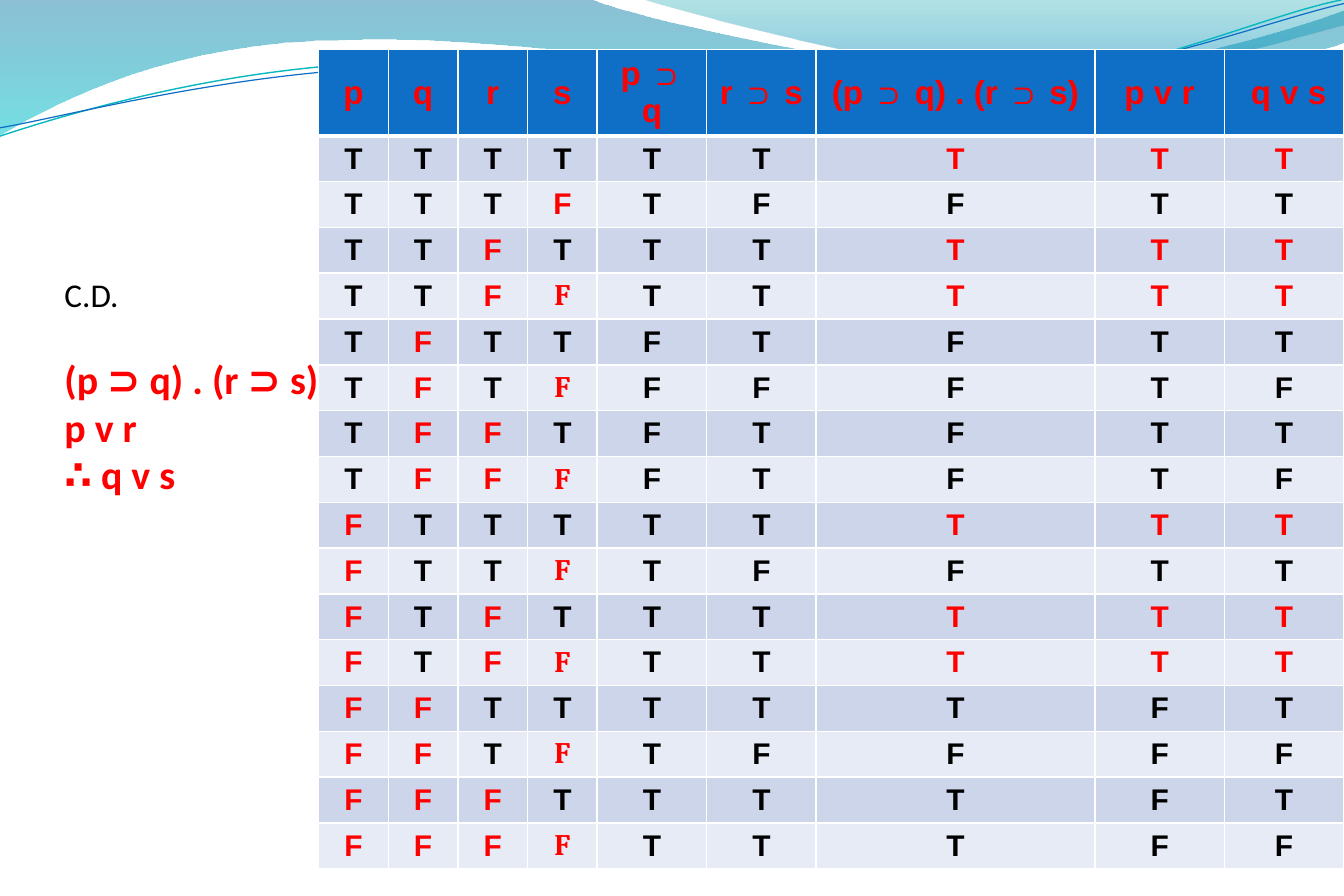
"""Build the constructive dilemma truth table slide."""
import pptx
import pptx.dml.color
import pptx.enum.text
import pptx.oxml
import pptx.oxml.ns
import pptx.util

WIDTH, HEIGHT = 11.25, 7.5
RED, BLACK, WHITE, HEADER_BLUE = "FF0000", "000000", "FFFFFF", "0F6FC6"
BANDS = ("CCD5EA", "E7EBF5")

ARGUMENT = [
    ("C.D.", {"size": 20, "bold": False, "color": BLACK}, 24),
    ("(p ⊃ q) . (r ⊃ s)", {"size": 24, "bold": True, "color": RED}, 0),
    ("p v r", {"size": 24, "bold": True, "color": RED}, 0),
    ("∴ q v s", {"size": 24, "bold": True, "color": RED}, 0),
]
HEADINGS = ["p", "q", "r", "s", "p ⊃ q", "r ⊃ s", "(p ⊃ q) . (r ⊃ s)", "p v r", " q v s"]
TRUTH_ROWS = [
    "TTTTTTTTT", "TTTFTFFTT", "TTFTTTTTT", "TTFFTTTTT",
    "TFTTFTFTT", "TFTFFFFTF", "TFFTFTFTT", "TFFFFTFTF",
    "FTTTTTTTT", "FTTFTFFTT", "FTFTTTTTT", "FTFFTTTTT",
    "FFTTTTTFT", "FFTFTFFFF", "FFFTTTTFT", "FFFFTTTFF",
]
GRID = 1 / 12
TABLE_LEFT, TABLE_TOP = 32, 5
COLUMN_SPANS = [7] * 4 + [11] * 2 + [28, 13, 12]
HEADER_HEIGHT, BODY_HEIGHT = 0.72, 6.14
ROW_HEIGHT = BODY_HEIGHT / len(TRUTH_ROWS)

WAVES = [
    {"start": (0, 0), "close": True,
     "stops": [(0, "0074A1", 45), (100, "00C6CF", 55)],
     "segments": [(4.95, 0), (5.35, 0.17, 7.46, 0.63, 8.53, 0.63),
                  (9.6, 0.63, 10.78, 0.26, 11.25, 0.09), (11.25, 0.36),
                  (11.06, 0.44, 9.79, 0.76, 8.39, 0.75),
                  (7, 0.75, 4.29, 0.28, 2.89, 0.34),
                  (1.45, 0.35, 0.52, 0.83, 0, 1.13)]},
    {"start": (5.39, 0), "close": True,
     "stops": [(0, "00A1A9", 30), (80, "008BBF", 45)],
     "segments": [(5.73, 0.11, 7.67, 0.62, 8.65, 0.65),
                  (9.63, 0.69, 10.82, 0.32, 11.25, 0.21), (11.25, 0)]},
    {"start": (0, 1.14), "close": False, "line": ("0AB8BF", 0.85),
     "segments": [(0.54, 0.96, 1.78, 0.59, 3.11, 0.53),
                  (4.45, 0.47, 6.66, 0.88, 8.02, 0.78),
                  (9.37, 0.69, 10.56, 0.13, 11.23, 0)]},
    {"start": (0, 1.07), "close": False, "line": (HEADER_BLUE, 0.75),
     "segments": [(0.53, 0.98, 1.84, 0.63, 3.19, 0.57),
                  (4.53, 0.52, 6.72, 0.83, 8.06, 0.74),
                  (9.41, 0.65, 10.59, 0.18, 11.25, 0.03)]},
]

inch = pptx.util.Inches
rgb = pptx.dml.color.RGBColor.from_string
NAMESPACE = pptx.oxml.ns.nsdecls("a")


def assign(target, formats):
    for name, value in formats.items():
        setattr(target, name, value)


def write(paragraph, text, size, color, bold=True, face="Arial"):
    run = paragraph.add_run()
    run.text = text
    assign(run.font, {"size": pptx.util.Pt(size), "bold": bold, "name": face})
    run.font.color.rgb = rgb(color)


def gradient(stops):
    marks = "".join(
        f'<a:gs pos="{place * 1000}"><a:srgbClr val="{color}">'
        f'<a:alpha val="{opacity * 1000}"/></a:srgbClr></a:gs>'
        for place, color, opacity in stops)
    return pptx.oxml.parse_xml(f'<a:gradFill {NAMESPACE} rotWithShape="1"><a:gsLst>{marks}'
                               '</a:gsLst><a:lin ang="5400000" scaled="0"/></a:gradFill>')


def bend(ribbon, segments):
    straights = list(ribbon.element.iter(pptx.oxml.ns.qn("a:lnTo")))
    for straight, segment in zip(straights, segments):
        if len(segment) == 6:
            points = "".join(
                f'<a:pt x="{inch(x) - ribbon.left}" y="{inch(y) - ribbon.top}"/>'
                for x, y in zip(segment[::2], segment[1::2]))
            curve = pptx.oxml.parse_xml(f'<a:cubicBezTo {NAMESPACE}>{points}</a:cubicBezTo>')
            straight.getparent().replace(straight, curve)


def draw_wave(slide, wave):
    start_x, start_y = wave["start"]
    builder = slide.shapes.build_freeform(inch(start_x), inch(start_y))
    ends = [(inch(segment[-2]), inch(segment[-1])) for segment in wave["segments"]]
    builder.add_line_segments(ends, close=wave["close"])
    ribbon = builder.convert_to_shape()
    bend(ribbon, wave["segments"])
    ribbon.shadow.inherit = False
    ribbon.fill.background()
    if "stops" in wave:
        ribbon.line.fill.background()
        properties = ribbon.element.spPr
        blank = properties.find(pptx.oxml.ns.qn("a:noFill"))
        properties.replace(blank, gradient(wave["stops"]))
    else:
        color, weight = wave["line"]
        ribbon.line.color.rgb = rgb(color)
        ribbon.line.width = pptx.util.Pt(weight)


def fill_cell(cell, text, fill, borders, **style):
    properties = cell._tc.get_or_add_tcPr()
    for side, weight in zip("LRTB", borders):
        properties.append(pptx.oxml.parse_xml(
            f'<a:ln{side} {NAMESPACE} w="{weight * 12700}"><a:solidFill>'
            f'<a:srgbClr val="{WHITE}"/></a:solidFill></a:ln{side}>'))
    cell.fill.solid()
    cell.fill.fore_color.rgb = rgb(fill)
    assign(cell, {"vertical_anchor": pptx.enum.text.MSO_ANCHOR.MIDDLE,
                  "margin_top": inch(0.02), "margin_bottom": inch(0.02)})
    paragraph = cell.text_frame.paragraphs[0]
    paragraph.alignment = pptx.enum.text.PP_ALIGN.CENTER
    write(paragraph, text, **style)


def value_style(row, column, values):
    false_variable = column < 4 and values[column] == "F"
    valid_case = column >= 6 and values[6:] == "TTT"
    serif = column == 3 and false_variable and row > 1
    return {"size": 18, "color": RED if false_variable or valid_case else BLACK,
            "face": "Cambria" if serif else "Arial"}


def draw_truth_table(slide):
    table = slide.shapes.add_table(
        len(TRUTH_ROWS) + 1, len(HEADINGS), inch(TABLE_LEFT * GRID), inch(TABLE_TOP * GRID),
        inch(sum(COLUMN_SPANS) * GRID), inch(HEADER_HEIGHT + BODY_HEIGHT)).table
    for column, span in zip(table.columns, COLUMN_SPANS):
        column.width = inch(span * GRID)
    for index, row in enumerate(table.rows):
        row.height = inch(ROW_HEIGHT if index else HEADER_HEIGHT)
    for column, heading in enumerate(HEADINGS):
        fill_cell(table.cell(0, column), heading, HEADER_BLUE, (1, 1, 1, 3), size=20, color=RED)
    for row, values in enumerate(TRUTH_ROWS):
        borders = (1, 1, 1 if row else 3, 1)
        for column, value in enumerate(values):
            fill_cell(table.cell(row + 1, column), value, BANDS[row % 2], borders,
                      **value_style(row, column, values))


def draw_argument(slide):
    frame = slide.shapes.add_textbox(inch(0.54), inch(2.3), inch(2.3), inch(1.9)).text_frame
    assign(frame, {"word_wrap": True, "margin_left": 0, "margin_right": 0,
                   "margin_top": 0, "margin_bottom": 0})
    for index, (text, style, gap) in enumerate(ARGUMENT):
        paragraph = frame.add_paragraph() if index else frame.paragraphs[0]
        paragraph.space_after = pptx.util.Pt(gap)
        write(paragraph, text, face="Calibri", **style)


deck = pptx.Presentation()
assign(deck, {"slide_width": inch(WIDTH), "slide_height": inch(HEIGHT)})
slide = deck.slides.add_slide(deck.slide_layouts[6])
for wave in WAVES:
    draw_wave(slide, wave)
draw_argument(slide)
draw_truth_table(slide)
deck.save("out.pptx")
